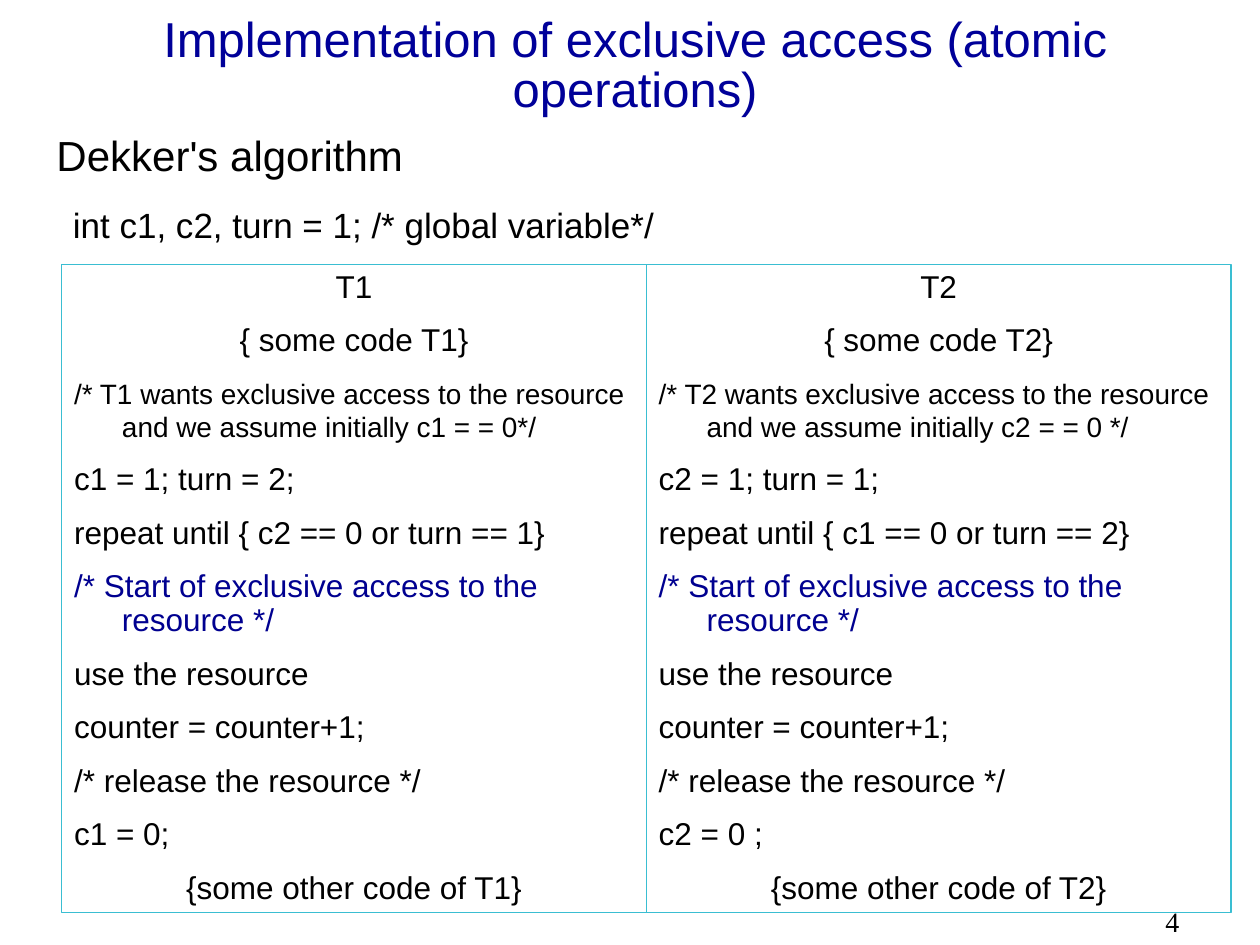
from pptx import Presentation
from pptx import util as u
from pptx.dml.color import RGBColor
from pptx.enum import shapes, text

BLACK = RGBColor(0, 0, 0)
TITLE_BLUE = RGBColor(0x00, 0x00, 0x99)
COMMENT_BLUE = RGBColor(0x00, 0x00, 0x90)
BORDER = RGBColor(0x3A, 0xBE, 0xD2)

TITLE = "Implementation of exclusive access (atomic operations)"
# text, (left, top, width, height), size, font, line spacing
LABELS = [
    ("4", (9.15, 7.13, 0.85, 0.37), 16, "Times New Roman", None),
    ("Dekker's algorithm", (0.35, 1.11, 9.47, 0.4), 24, "Arial", 19.4),
    ("int c1, c2, turn = 1; /* global variable*/", (0.48, 1.63, 9.39, 0.37), 20, "Arial", 19.4),
]
# own thread, other thread, ends of the two lines that are spaced differently
THREADS = [(1, 2, "*/", ";"), (2, 1, " */", " ;")]
PANEL_LEFT, PANEL_TOP, PANEL_WIDTH, PANEL_HEIGHT = 0.49, 2.1, 4.64, 5.14
HANGING = u.Inches(0.38)


def thread_lines(own, other, comment_end, release_end):
    """List the lines of one thread as (text, size, colour, centred)."""
    return [
        (f"T{own}", 18, BLACK, True),
        (f"{{ some code T{own}}}", 18, BLACK, True),
        (f"/* T{own} wants exclusive access to the resource and we assume "
         f"initially c{own} = = 0{comment_end}", 16, BLACK, False),
        (f"c{own} = 1; turn = {other};", 18, BLACK, False),
        (f"repeat until {{ c{other} == 0 or turn == {own}}}", 18, BLACK, False),
        ("/* Start of exclusive access to the resource */", 18, COMMENT_BLUE, False),
        ("use the resource", 18, BLACK, False),
        ("counter = counter+1;", 18, BLACK, False),
        ("/* release the resource */", 18, BLACK, False),
        (f"c{own} = 0{release_end}", 18, BLACK, False),
        (f"{{some other code of T{own}}}", 18, BLACK, True),
    ]


def write(para, words, size, colour=BLACK, font="Arial", spacing=19.4, centred=False):
    para.text = words
    para.alignment = text.PP_ALIGN.CENTER if centred else text.PP_ALIGN.LEFT
    if spacing:
        para.line_spacing = u.Pt(spacing)
    for span in para.runs:
        span.font.name = font
        span.font.size = u.Pt(size)
        span.font.color.rgb = colour


def add_panel(slide, column, lines):
    panel = slide.shapes.add_shape(
        shapes.MSO_SHAPE.RECTANGLE, u.Inches(PANEL_LEFT + column * PANEL_WIDTH),
        u.Inches(PANEL_TOP), u.Inches(PANEL_WIDTH), u.Inches(PANEL_HEIGHT))
    panel.shadow.inherit = False
    panel.fill.background()
    panel.line.color.rgb = BORDER
    panel.line.width = u.Pt(0.75)
    frame = panel.text_frame
    frame.word_wrap = True
    frame.vertical_anchor = text.MSO_ANCHOR.TOP
    for number, (words, size, colour, centred) in enumerate(lines):
        para = frame.add_paragraph() if number else frame.paragraphs[0]
        write(para, words, size, colour, centred=centred)
        para.space_before = u.Pt((10 if size == 16 else 11.2) if number else 0)
        properties = para._p.get_or_add_pPr()
        properties.set("marL", str(HANGING))
        properties.set("indent", str(-HANGING))


def main():
    deck = Presentation()
    deck.slide_width, deck.slide_height = u.Inches(10), u.Inches(7.5)
    slide = deck.slides.add_slide(deck.slide_layouts[5])

    title = slide.shapes.title
    title.left, title.top = u.Inches(0.79), u.Inches(0.19)
    title.width, title.height = u.Inches(8.5), u.Inches(0.69)
    title.text_frame.auto_size = text.MSO_AUTO_SIZE.NONE
    title.text_frame.vertical_anchor = text.MSO_ANCHOR.MIDDLE
    write(title.text_frame.paragraphs[0], TITLE, 28, TITLE_BLUE, spacing=28.4, centred=True)

    for words, place, size, font, spacing in LABELS:
        box = slide.shapes.add_textbox(*map(u.Inches, place))
        box.text_frame.word_wrap = True
        write(box.text_frame.paragraphs[0], words, size, font=font, spacing=spacing)

    for column, thread in enumerate(THREADS):
        add_panel(slide, column, thread_lines(*thread))

    deck.save("out.pptx")


if __name__ == "__main__":
    main()
